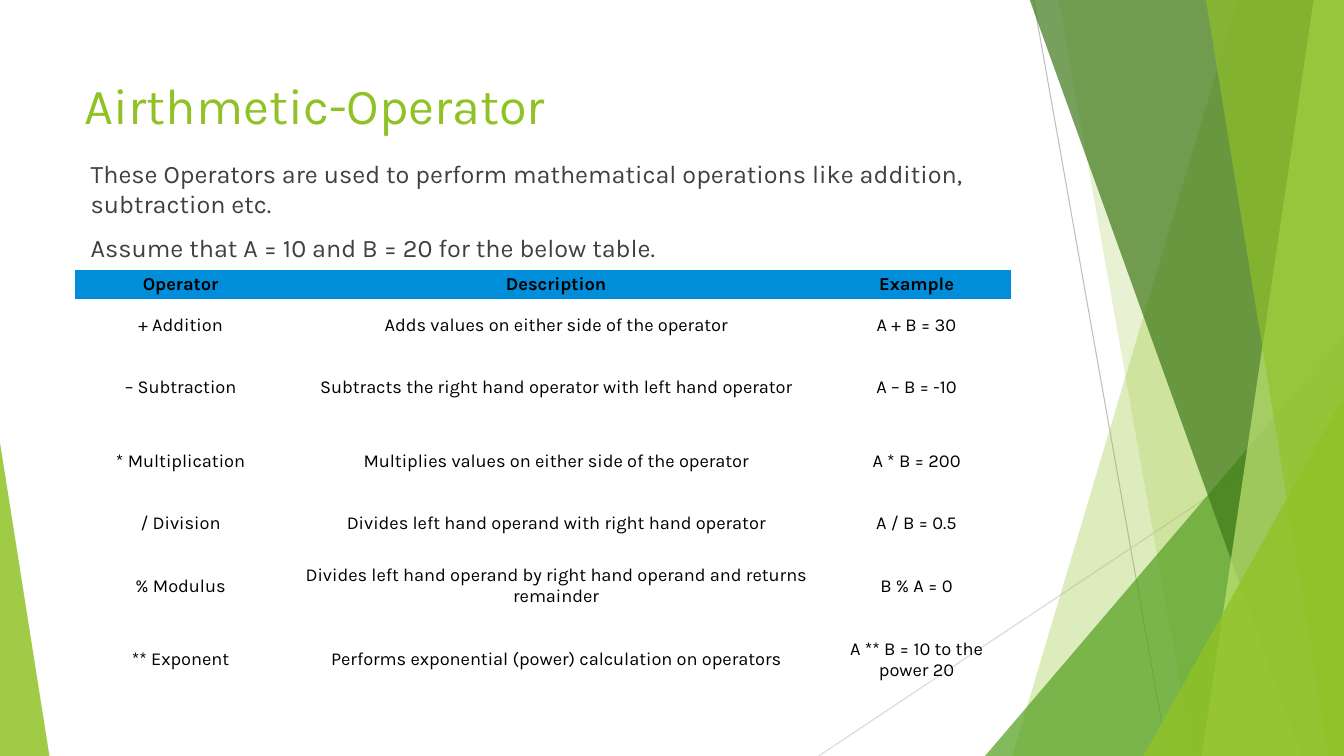
from lxml import etree
from pptx import Presentation
from pptx.dml.color import RGBColor
from pptx.enum.shapes import MSO_CONNECTOR, MSO_SHAPE
from pptx.enum.text import MSO_ANCHOR, MSO_AUTO_SIZE, PP_ALIGN
from pptx.oxml.ns import qn
from pptx.util import Inches, Pt

LINE = MSO_CONNECTOR.STRAIGHT
WEDGE = MSO_SHAPE.ISOSCELES_TRIANGLE
MIDDLE, TOP = MSO_ANCHOR.MIDDLE, MSO_ANCHOR.TOP
CENTER, LEFT = PP_ALIGN.CENTER, PP_ALIGN.LEFT
NO_FIT = MSO_AUTO_SIZE.NONE
PLAIN = "{2D5ABB26-0587-4C30-8999-92F81FD0307C}"
FONT = "Karla"
WIDE, HIGH = 13.33, 7.5
GREEN = "90C226"

TITLE = "Airthmetic-Operator"
INTRO = [
    "These Operators are used to perform mathematical operations like addition, subtraction etc.",
    "Assume that A = 10 and B = 20 for the below table.",
]
ROWS = [
    ("Operator", "Description", "Example"),
    ("+ Addition", "Adds values on either side of the operator", "A + B = 30"),
    ("– Subtraction", "Subtracts the right hand operator with left hand operator", "A – B = -10"),
    ("* Multiplication", "Multiplies values on either side of the operator", "A * B = 200"),
    ("/ Division", "Divides left hand operand with right hand operator", "A / B = 0.5"),
    ("% Modulus", "Divides left hand operand by right hand operand and returns remainder", "B % A = 0"),
    ("** Exponent", "Performs exponential (power) calculation on operators", "A ** B = 10 to the power 20"),
]
COLS = [2.14, 5.31, 1.84]
TALL = [0.28, 0.51, 0.73, 0.73, 0.51, 0.73, 0.73]


def color(code):
    return RGBColor.from_string(code)


def place(shape, x, y, w, h):
    shape.left, shape.top = Inches(x), Inches(y)
    shape.width, shape.height = Inches(w), Inches(h)


def tint(shape, code, alpha):
    shape.shadow.inherit = False
    shape.line.fill.background()
    shape.fill.solid()
    shape.fill.fore_color.rgb = color(code)
    tone = shape.fill._xPr.find(qn("a:solidFill"))[0]
    etree.SubElement(tone, qn("a:alpha")).set("val", str(alpha * 1000))


def shard(slide, top, foot, code, alpha):
    pen = slide.shapes.build_freeform(Inches(top), Inches(-0.01))
    ends = [(WIDE, -0.01), (WIDE, HIGH), (foot, HIGH)]
    pen.add_line_segments([(Inches(x), Inches(y)) for x, y in ends])
    tint(pen.convert_to_shape(), code, alpha)


def wedge(slide, x, y, w, tip, code, alpha):
    shape = slide.shapes.add_shape(
        WEDGE, Inches(x), Inches(y), Inches(w), Inches(HIGH - y))
    shape.adjustments[0] = tip
    tint(shape, code, alpha)


def ray(slide, x1, y1, x2, code):
    line = slide.shapes.add_connector(
        LINE, Inches(x1), Inches(y1), Inches(x2), Inches(HIGH))
    line.line.color.rgb = color(code)
    line.line.width = Pt(0.75)
    etree.SubElement(line._element.spPr, qn("a:effectLst"))


def write(para, text, size, code, align=LEFT, bold=False):
    para.alignment = align
    run = para.add_run()
    run.text = text
    font = run.font
    font.name, font.size, font.bold = FONT, Pt(size), bold
    font.color.rgb = color(code)


def decor(slide):
    ray(slide, 10.25, 0, 11.58, "BFBFBF")
    ray(slide, WIDE, 4.03, 8.12, "D9D9D9")
    shard(slide, 12.28, 10.04, GREEN, 30)
    shard(slide, 10.5, 11.83, GREEN, 20)
    wedge(slide, 9.77, 3.33, 3.56, 1, "54A021", 72)
    shard(slide, 10.21, 12.91, "3F7819", 70)
    shard(slide, 13.03, 11.92, "C0E474", 70)
    shard(slide, 11.96, 13.18, GREEN, 65)
    wedge(slide, 11.34, 3.93, 1.99, 1, GREEN, 80)
    wedge(slide, 0, 4.39, 0.49, 0, GREEN, 85)


def head(slide):
    title = slide.shapes.title
    place(title, 0.74, 0.67, 9.4, 0.73)
    frame = title.text_frame
    frame.auto_size, frame.vertical_anchor = NO_FIT, MIDDLE
    write(frame.paragraphs[0], TITLE, 36, GREEN)


def intro(slide):
    body = slide.placeholders[1]
    place(body, 0.8, 1.52, 9.4, 4.24)
    frame = body.text_frame
    frame.auto_size, frame.vertical_anchor = NO_FIT, TOP
    for i, text in enumerate(INTRO):
        para = frame.add_paragraph() if i else frame.paragraphs[0]
        para.space_before = Pt(10)
        props = para._p.get_or_add_pPr()
        props.set("marL", "0")
        props.set("indent", "0")
        etree.SubElement(props, qn("a:buNone"))
        write(para, text, 18, "404040")


def grid(slide):
    frame = slide.shapes.add_table(
        len(ROWS), len(COLS), Inches(0.74), Inches(2.68),
        Inches(sum(COLS)), Inches(sum(TALL)))
    table = frame.table
    table.horz_banding = False
    table._tbl.tblPr.find(qn("a:tableStyleId")).text = PLAIN
    for col, size in zip(table.columns, COLS):
        col.width = Inches(size)
    for r, (row, size) in enumerate(zip(table.rows, TALL)):
        row.height = Inches(size)
        for cell, text in zip(row.cells, ROWS[r]):
            cell.vertical_anchor = MIDDLE
            cell.margin_left, cell.margin_right = Inches(0.03), Inches(0.07)
            cell.margin_top = cell.margin_bottom = Inches(0.04)
            if r == 0:
                cell.fill.solid()
                cell.fill.fore_color.rgb = color("008DD9")
            else:
                cell.fill.background()
            write(cell.text_frame.paragraphs[0], text, 13, "000000", CENTER, r == 0)


def main():
    deck = Presentation()
    deck.slide_width, deck.slide_height = Inches(WIDE), Inches(HIGH)
    slide = deck.slides.add_slide(deck.slide_layouts[1])
    decor(slide)
    head(slide)
    intro(slide)
    grid(slide)
    deck.save("out.pptx")


if __name__ == "__main__":
    main()
